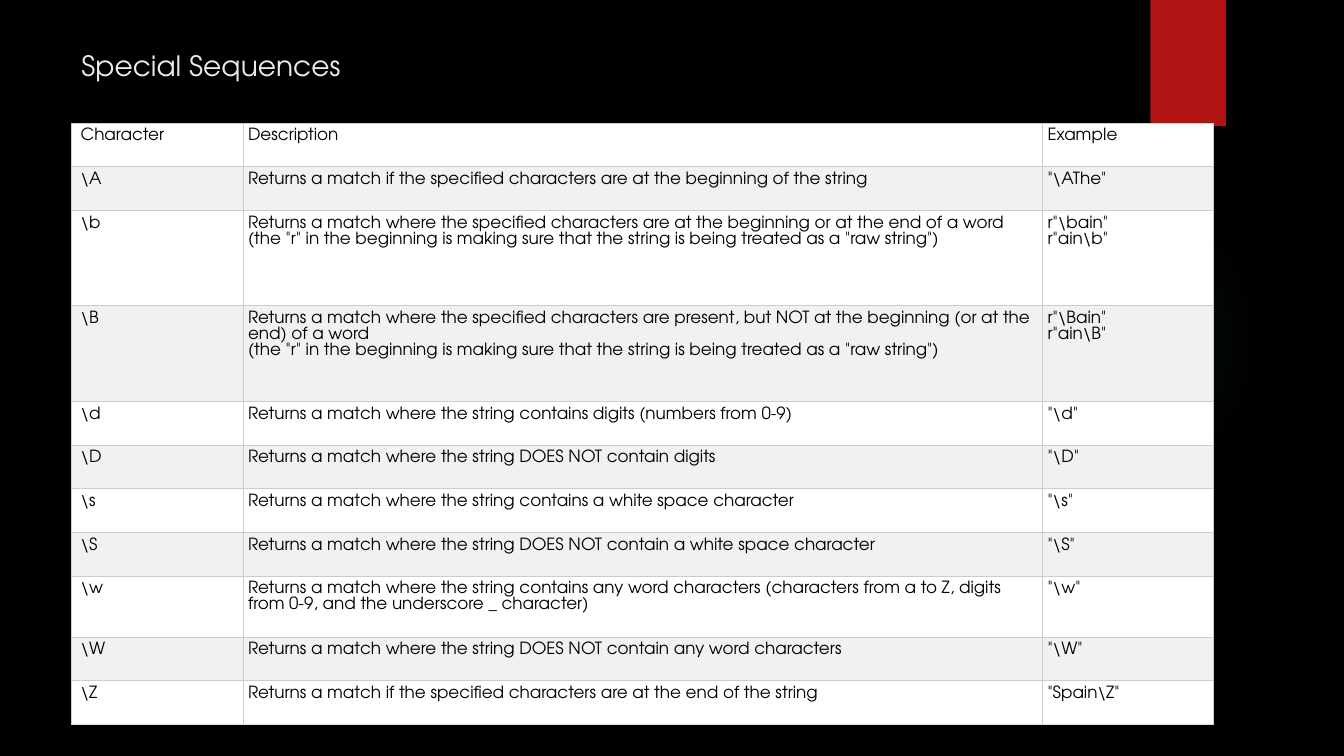
from lxml import etree
from pptx import Presentation
from pptx.dml.color import RGBColor
from pptx.enum.shapes import MSO_SHAPE
from pptx.enum.text import MSO_ANCHOR
from pptx.oxml import parse_xml
from pptx.oxml.ns import nsdecls, qn
from pptx.util import Inches, Pt

RECTANGLE, OVAL = MSO_SHAPE.RECTANGLE, MSO_SHAPE.OVAL
MIDDLE = MSO_ANCHOR.MIDDLE
BLACK = RGBColor(0x00, 0x00, 0x00)
WHITE = RGBColor(0xFF, 0xFF, 0xFF)
BAND_GREY = RGBColor(0xF1, 0xF1, 0xF1)
BORDER_GREY = RGBColor(0xCC, 0xCC, 0xCC)
BOTTOM_GREY = RGBColor(0xDD, 0xDD, 0xDD)
TITLE_GREY = RGBColor(0xEB, 0xEB, 0xEB)
RED = RGBColor(0xB0, 0x15, 0x13)
TEAL = RGBColor(0x50, 0xB9, 0xC1)
FONT = "TeX Gyre Adventor"

TABLE_HEIGHT = 5.97
COLUMN_WIDTHS = (1.7, 7.93, 1.7)
SINGLE, DOUBLE, TALL = 0.43, 0.6, 0.94
RAW_NOTE = '\n(the "r" in the beginning is making sure that the string is being treated as a "raw string")'
ROWS = [
    (SINGLE, "Character", "Description", "Example"),
    (SINGLE, r"\A", "Returns a match if the specified characters are at the beginning of the string", r'"\AThe"'),
    (TALL, r"\b", "Returns a match where the specified characters are at the beginning "
     "or at the end of a word" + RAW_NOTE, 'r"\\bain"\nr"ain\\b"'),
    (TALL, r"\B", "Returns a match where the specified characters are present, but NOT "
     "at the beginning (or at the end) of a word" + RAW_NOTE, 'r"\\Bain"\nr"ain\\B"'),
    (SINGLE, r"\d", "Returns a match where the string contains digits (numbers from 0-9)", r'"\d"'),
    (SINGLE, r"\D", "Returns a match where the string DOES NOT contain digits", r'"\D"'),
    (SINGLE, r"\s", "Returns a match where the string contains a white space character", r'"\s"'),
    (SINGLE, r"\S", "Returns a match where the string DOES NOT contain a white space character", r'"\S"'),
    (DOUBLE, r"\w", "Returns a match where the string contains any word characters "
     "(characters from a to Z, digits from 0-9, and the underscore _ character)", r'"\w"'),
    (SINGLE, r"\W", "Returns a match where the string DOES NOT contain any word characters", r'"\W"'),
    (SINGLE, r"\Z", "Returns a match if the specified characters are at the end of the string", r'"Spain\Z"'),
]


def write_text(text_frame, text, size=12, color=BLACK, line_spacing=None):
    """Fill a text frame with one formatted paragraph."""
    paragraph = text_frame.paragraphs[0]
    paragraph.text = text
    paragraph.line_spacing = line_spacing
    for run in paragraph.runs:
        run.font.name = FONT
        run.font.size = Pt(size)
        run.font.color.rgb = color


def add_plain_shape(slide, kind, left, top, width, height, color):
    """Add a filled shape without outline or shadow."""
    shape = slide.shapes.add_shape(kind, Inches(left), Inches(top), Inches(width), Inches(height))
    shape.shadow.inherit = False
    shape.fill.solid()
    shape.fill.fore_color.rgb = color
    shape.line.fill.background()
    return shape


def add_glow(slide):
    """Add a faint round glow that fades out towards its edge."""
    glow = add_plain_shape(slide, OVAL, 9.41, 1.83, 3.08, 3.08, TEAL)
    stops = "".join(
        f'<a:gs pos="{position * 1000}"><a:srgbClr val="{TEAL}"><a:alpha val="{alpha * 1000}"/></a:srgbClr></a:gs>'
        for position, alpha in ((0, 7), (36, 6), (69, 0), (100, 0)))
    gradient = parse_xml(
        f'<a:gradFill {nsdecls("a")} rotWithShape="1"><a:gsLst>{stops}</a:gsLst><a:path path="circle">'
        '<a:fillToRect l="50000" t="50000" r="50000" b="50000"/></a:path></a:gradFill>')
    properties = glow.element.spPr
    properties.replace(properties.find(qn("a:solidFill")), gradient)


def add_title(slide, text):
    """Add the slide title."""
    box = slide.shapes.add_textbox(Inches(0.71), Inches(0.45), Inches(10.29), Inches(0.4))
    box.text_frame.word_wrap = True
    box.text_frame.vertical_anchor = MIDDLE
    write_text(box.text_frame, text, size=20, color=TITLE_GREY)


def set_borders(cell, bottom_color):
    """Draw thin lines on the four sides of a cell."""
    properties = cell._tc.get_or_add_tcPr()
    colors = {"lnL": BORDER_GREY, "lnR": BORDER_GREY, "lnT": BORDER_GREY, "lnB": bottom_color}
    for index, (side, color) in enumerate(colors.items()):
        line = etree.Element(qn(f"a:{side}"), w=str(Pt(0.75)))
        fill = etree.SubElement(line, qn("a:solidFill"))
        etree.SubElement(fill, qn("a:srgbClr"), val=str(color))
        properties.insert(index, line)


def add_sequence_table(slide):
    """Add the banded table of special sequences."""
    frame = slide.shapes.add_table(len(ROWS), len(COLUMN_WIDTHS), Inches(0.71), Inches(1.22),
                                   Inches(sum(COLUMN_WIDTHS)), Inches(TABLE_HEIGHT))
    table = frame.table
    table.first_row = False
    table.horz_banding = False
    for column, width in zip(table.columns, COLUMN_WIDTHS):
        column.width = Inches(width)
    scale = TABLE_HEIGHT / sum(row[0] for row in ROWS)
    for row_index, (height, *texts) in enumerate(ROWS):
        table.rows[row_index].height = Inches(height * scale)
        bottom_color = BOTTOM_GREY if row_index == len(ROWS) - 1 else BORDER_GREY
        for column_index, text in enumerate(texts):
            cell = table.cell(row_index, column_index)
            cell.margin_left = Inches(0.05 if column_index else 0.09)
            cell.margin_top = cell.margin_right = cell.margin_bottom = Inches(0.05)
            cell.fill.solid()
            cell.fill.fore_color.rgb = BAND_GREY if row_index % 2 else WHITE
            set_borders(cell, bottom_color)
            write_text(cell.text_frame, text, line_spacing=Pt(11.4))


def main():
    """Build and save the slide."""
    presentation = Presentation()
    presentation.slide_width = Inches(13.33)
    presentation.slide_height = Inches(7.5)
    slide = presentation.slides.add_slide(presentation.slide_layouts[6])
    slide.background.fill.solid()
    slide.background.fill.fore_color.rgb = BLACK
    add_glow(slide)
    add_plain_shape(slide, RECTANGLE, 11.41, 0, 0.75, 1.25, RED)
    add_title(slide, "Special Sequences")
    add_sequence_table(slide)
    presentation.save("out.pptx")


if __name__ == "__main__":
    main()
